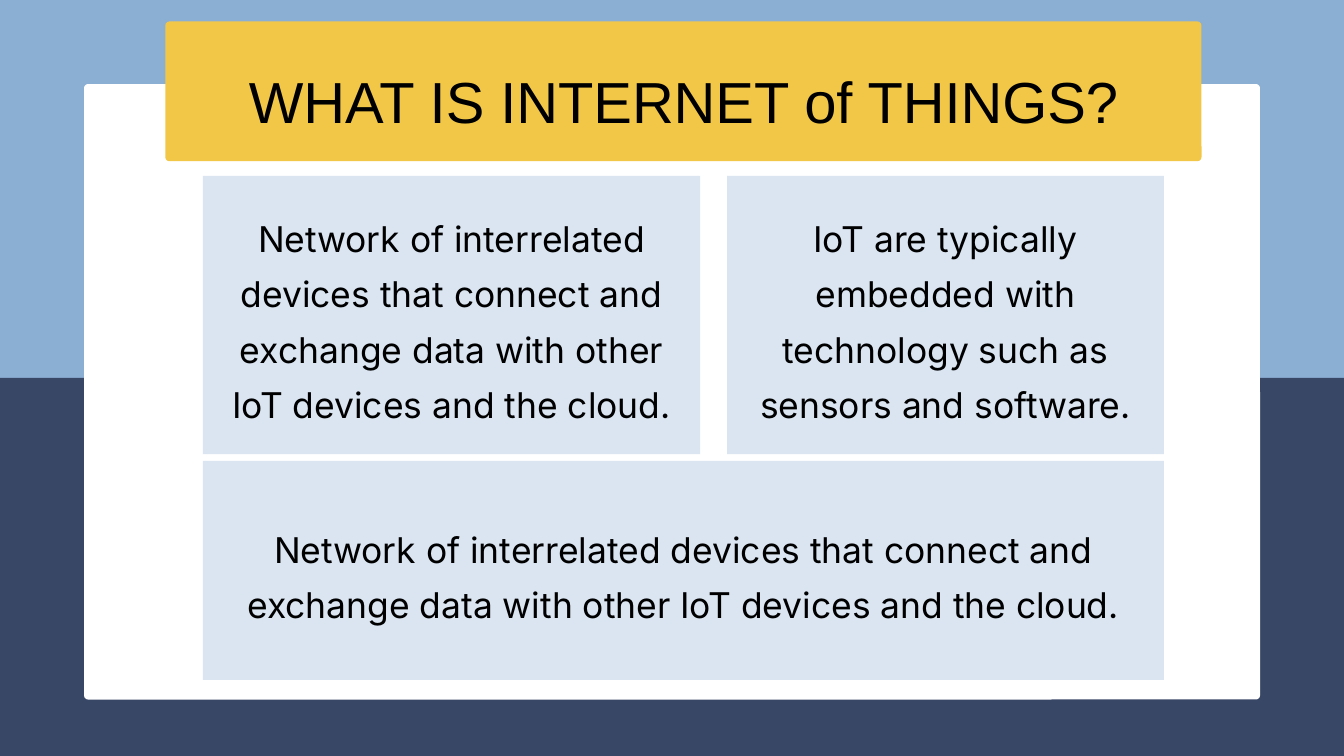
from pptx import Presentation
from pptx.dml.color import RGBColor
from pptx.enum.shapes import MSO_SHAPE
from pptx.enum.text import MSO_ANCHOR, PP_ALIGN
from pptx.util import Inches, Pt

RECTANGLE = MSO_SHAPE.RECTANGLE
ROUNDED = MSO_SHAPE.ROUNDED_RECTANGLE
MIDDLE = MSO_ANCHOR.MIDDLE
CENTER = PP_ALIGN.CENTER

SKY = RGBColor(0x8B, 0xAE, 0xD3)
NAVY = RGBColor(0x38, 0x47, 0x66)
WHITE = RGBColor(0xFF, 0xFF, 0xFF)
YELLOW = RGBColor(0xF2, 0xC7, 0x48)
PALE_BLUE = RGBColor(0xDA, 0xE5, 0xF1)
INK = RGBColor(0x00, 0x00, 0x01)

TITLE = "WHAT IS INTERNET of THINGS?"
NETWORK = ("Network of interrelated devices that connect and exchange data "
           "with other IoT devices and the cloud.")
EMBEDDED = ("IoT are typically embedded with technology such as sensors "
            "and software.")

WIDTH = 10
HEIGHT = WIDTH * 9 / 16
HORIZON = HEIGHT / 2
MARGIN = HEIGHT / 9
CORNER = 0.03
TITLE_LEFT, TITLE_WIDTH = 1.23, 7.71

# Cards: text, left, top, width, height
LEFT, RIGHT = 1.51, 8.66
SECOND_LEFT = 5.41
CARDS = [
    (NETWORK, LEFT, 1.31, 3.7, 2.07),
    (EMBEDDED, SECOND_LEFT, 1.31, RIGHT - SECOND_LEFT, 2.07),
    (NETWORK, LEFT, 3.43, RIGHT - LEFT, 1.63),
]


def add_panel(slide, kind, box, color):
    panel = slide.shapes.add_shape(kind, *map(Inches, box))
    panel.shadow.inherit = False
    panel.fill.solid()
    panel.fill.fore_color.rgb = color
    panel.line.fill.background()
    if kind == ROUNDED:
        panel.adjustments[0] = CORNER / min(box[2:])
    return panel


def write(shape, text, font, size, spacing, inset):
    frame = shape.text_frame
    frame.word_wrap = True
    frame.vertical_anchor = MIDDLE
    frame.margin_left = frame.margin_right = Inches(inset)
    frame.margin_top = frame.margin_bottom = Inches(inset)
    paragraph = frame.paragraphs[0]
    paragraph.text = text
    paragraph.alignment = CENTER
    paragraph.line_spacing = spacing
    paragraph.font.name = font
    paragraph.font.size = Pt(size)
    paragraph.font.color.rgb = INK


prs = Presentation()
prs.slide_width, prs.slide_height = Inches(WIDTH), Inches(HEIGHT)
slide = prs.slides.add_slide(prs.slide_layouts[6])
slide.background.fill.solid()
slide.background.fill.fore_color.rgb = SKY

add_panel(slide, RECTANGLE, (0, HORIZON, WIDTH, HEIGHT - HORIZON), NAVY)
add_panel(slide, ROUNDED,
          (MARGIN, MARGIN, WIDTH - 2 * MARGIN, 4.58), WHITE)
add_panel(slide, ROUNDED, (TITLE_LEFT, 0.16, TITLE_WIDTH, 1.04), YELLOW)

title = slide.shapes.add_textbox(
    *map(Inches, (TITLE_LEFT, 0.07, TITLE_WIDTH, 1.3)))
write(title, TITLE, "Arial", 31, 1.1, 0.14)

for text, *box in CARDS:
    card = add_panel(slide, RECTANGLE, box, PALE_BLUE)
    write(card, text, "Inter", 19, 1.3, 0.08)

prs.save("out.pptx")
